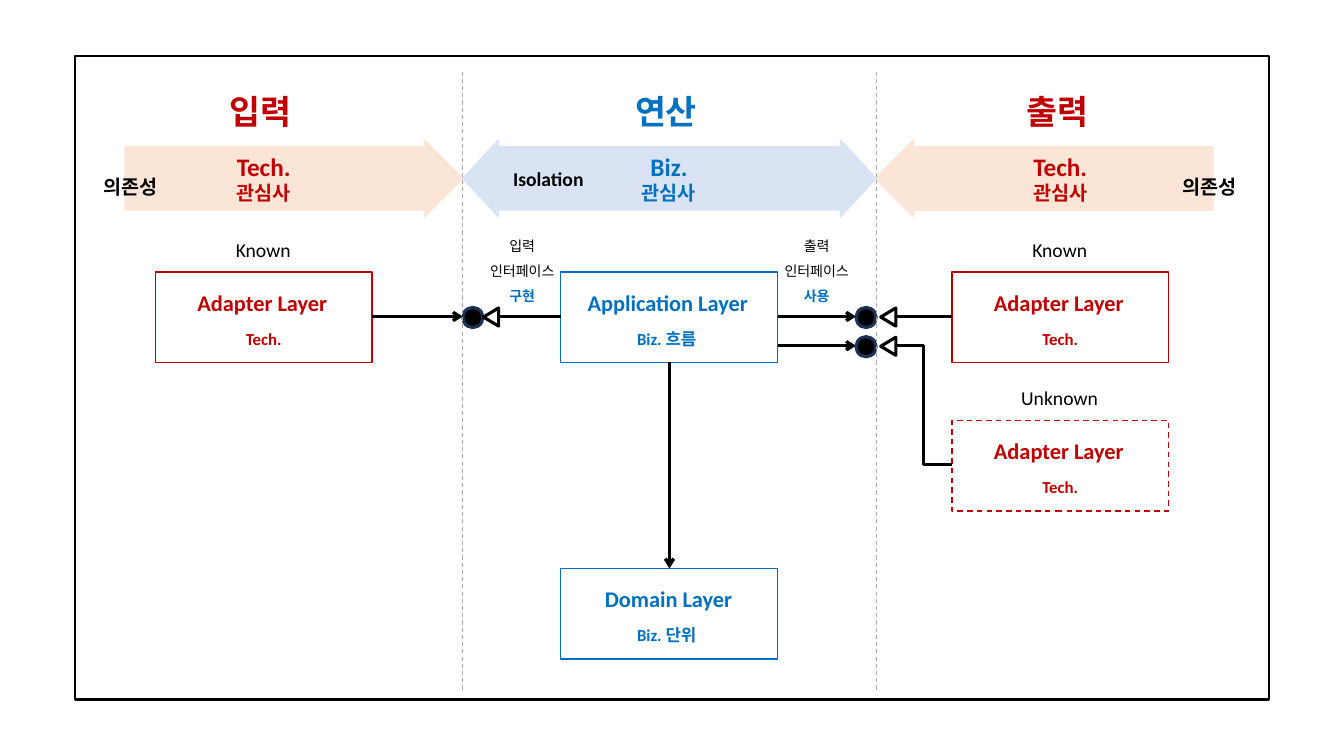
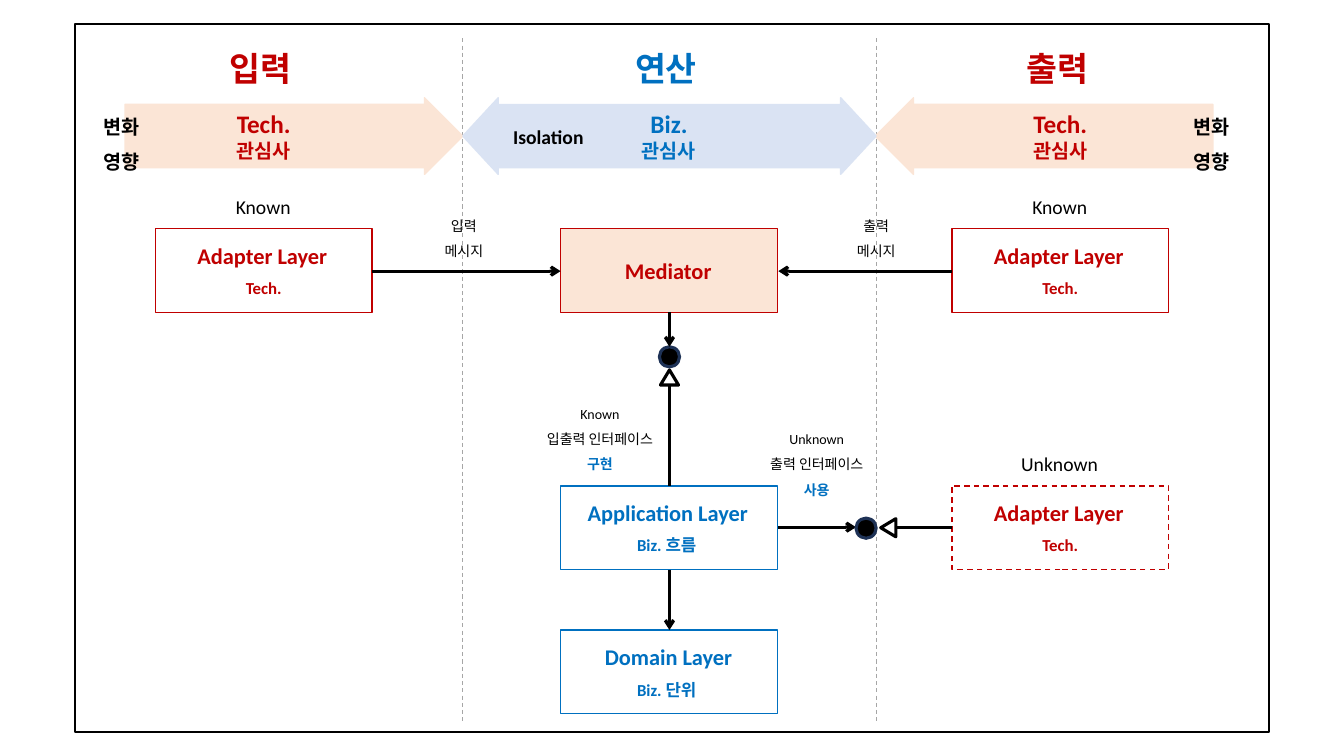
from pptx import Presentation
from pptx import util as u
from pptx.dml import color as colors
from pptx.enum import dml, shapes, text
from pptx.oxml import ns, xmlchemy

PX = 9144
FONT = "Calibri"
BLACK, WHITE, GRAY, NAVY = "000000", "FFFFFF", "A6A6A6", "1E3256"
RED, BLUE, PEACH, SKY = "C00000", "0070C0", "FBE5D6", "DAE3F3"
LEFT_COL, MID_COL, RIGHT_COL = 154, 556, 944
DIVIDERS = (459, 869)
LAYER_W = 215
MID_X = 664
SHAPE = shapes.MSO_SHAPE
CENTER = text.PP_ALIGN.CENTER


def px(*values):
    return [u.Emu(v * PX) for v in values]


def rgb(value):
    return colors.RGBColor.from_string(value)


def set_line(line, color, width, dash=False):
    line.color.rgb = rgb(color)
    line.width = u.Pt(width)
    if dash:
        line.dash_style = dml.MSO_LINE.DASH


def add_shape(s, kind, at, line, fill=None, width=1, dash=False, rot=0, adj=()):
    sp = s.shapes.add_shape(kind, *px(*at))
    sp.shadow.inherit = False
    if fill:
        sp.fill.solid()
        sp.fill.fore_color.rgb = rgb(fill)
    else:
        sp.fill.background()
    set_line(sp.line, line, width, dash)
    sp.rotation = rot
    for i, value in enumerate(adj):
        sp.adjustments[i] = value
    return sp


def add_text(s, at, *lines, size=14, color=BLACK, bold=False, align=None, spacing=None):
    tf = s.shapes.add_textbox(*px(*at)).text_frame
    tf.word_wrap = False
    tf.auto_size = text.MSO_AUTO_SIZE.SHAPE_TO_FIT_TEXT
    for i, line in enumerate(lines):
        content, custom = line if isinstance(line, tuple) else (line, {})
        p = tf.add_paragraph() if i else tf.paragraphs[0]
        p.alignment = align
        p.line_spacing = spacing
        r = p.add_run()
        r.text = content
        r.font.name = FONT
        r.font.size = u.Pt(custom.get("size", size))
        r.font.bold = custom.get("bold", bold)
        r.font.color.rgb = rgb(custom.get("color", color))


def add_line(s, x1, y1, x2, y2, color=BLACK, width=2.25, dash=False, arrow=False, elbow=False):
    kind = shapes.MSO_CONNECTOR.ELBOW if elbow else shapes.MSO_CONNECTOR.STRAIGHT
    sp = s.shapes.add_connector(kind, *px(x1, y1, x2, y2))
    set_line(sp.line, color, width, dash)
    props = sp._element.spPr
    if arrow:
        tail = xmlchemy.OxmlElement("a:tailEnd")
        tail.set("type", "arrow")
        props.find(ns.qn("a:ln")).append(tail)
    props.append(xmlchemy.OxmlElement("a:effectLst"))


def add_centered(s, x, y, w, h, content, **fmt):
    add_text(s, (x + (LAYER_W + 1 - w) // 2, y, w, h), content, **fmt)


def add_layer(s, x, y, h, title, title_w, sub, sub_w, color, state=None):
    dash = state == "Unknown"
    add_shape(s, SHAPE.RECTANGLE, (x, y, LAYER_W, h), color, dash=dash)
    add_centered(s, x, y + (h - 66) // 2, title_w, 37, title, size=16, color=color, bold=True)
    add_centered(s, x, y + h - 39, sub_w, 30, sub, size=12, color=color, bold=True)
    if state:
        add_centered(s, x, y - 39, 97 if dash else 75, 34, state)


def add_adapter(s, x, y, h, state):
    add_layer(s, x, y, h, "Adapter Layer", 151, "Tech.", 56, RED, state)


def add_application(s, y, h):
    add_layer(s, MID_COL, y, h, "Application Layer", 181, "Biz. 흐름", 83, BLUE)


def add_domain(s, y, h):
    add_layer(s, MID_COL, y, h, "Domain Layer", 148, "Biz. 단위", 83, BLUE)


def add_dot(s, x, y):
    add_shape(s, SHAPE.OVAL, (x, y, 20, 20), NAVY, BLACK, 2.25)


def add_triangle(s, x, y, rot=0):
    add_shape(s, SHAPE.ISOSCELES_TRIANGLE, (x, y, 18, 15), BLACK, WHITE, 2.25, rot=rot)


def add_port(s, x, y, gap=23):
    add_dot(s, x, y - 9)
    add_triangle(s, x + gap, y - 7, 270)


def add_note(s, at, *lines, action=None):
    if action:
        lines += ((action, {"color": BLUE, "bold": True}),)
    add_text(s, at, *lines, size=10, align=CENTER, spacing=1.5)


def add_frame(s, top, height):
    add_shape(s, SHAPE.RECTANGLE, (74, top, 1185, height), BLACK, width=1.5)


def add_dividers(s, top, bottom):
    for x in DIVIDERS:
        add_line(s, x, top, x, bottom, GRAY, 0.75, dash=True)


def add_header(s, top):
    arrow = (0.827, 0.5)
    add_shape(s, SHAPE.RIGHT_ARROW, (868, top, 335, 76), PEACH, PEACH, rot=180, adj=arrow)
    add_shape(s, SHAPE.RIGHT_ARROW, (124, top, 335, 76), PEACH, PEACH, adj=arrow)
    add_shape(s, SHAPE.LEFT_RIGHT_ARROW, (459, top, 410, 76), SKY, SKY, adj=(0.824, 0.463))
    columns = (
        (218, 222, "입력", "Tech.", RED),
        (620, 624, "연산", "Biz.", BLUE),
        (1008, 1012, "출력", "Tech.", RED),
    )
    for title_x, concern_x, title, concern, color in columns:
        add_text(s, (title_x, top - 54, 88, 50), title, size=24, color=color, bold=True)
        add_text(s, (concern_x, top + 6, 79, 64), (concern, {"size": 18}), "관심사",
                 color=color, bold=True, align=CENTER)
    add_text(s, (499, top + 22, 91, 34), "Isolation", bold=True)


def add_side_labels(s, right_x, y, w, h, *lines):
    for x in (93, right_x):
        add_text(s, (x, y, w, h), *lines, bold=True, spacing=1.5)


def build_dependency(s):
    h, row, second = 90, 314, 343
    add_header(s, 139)
    add_frame(s, 56, 638)
    add_adapter(s, LEFT_COL, 270, h, "Known")
    add_adapter(s, RIGHT_COL, 270, h, "Known")
    add_adapter(s, RIGHT_COL, 417, h, "Unknown")
    add_application(s, 270, h)
    add_domain(s, 564, h)
    add_line(s, 369, row, 459, row, arrow=True)
    add_line(s, MID_X, 359, MID_X, 564, arrow=True)
    add_port(s, 459, row, 19)
    add_line(s, MID_COL, row, 495, row)
    for y in (row, second):
        add_line(s, 772, y, 849, y, arrow=True)
        add_port(s, 849, y)
    add_line(s, RIGHT_COL, row, 888, row)
    add_line(s, 888, second, RIGHT_COL, 461, elbow=True)
    add_note(s, (473, 222, 90, 83), "입력", "인터페이스", action="구현")
    add_note(s, (765, 222, 90, 83), "출력", "인터페이스", action="사용")
    add_dividers(s, 71, 687)
    add_side_labels(s, 1163, 157, 79, 42, "의존성")


def build_mediator(s):
    h, row, app_row = 83, 269, 523
    add_frame(s, 24, 702)
    add_dividers(s, 38, 716)
    add_adapter(s, LEFT_COL, 227, h, "Known")
    add_adapter(s, RIGHT_COL, 227, h, "Known")
    add_adapter(s, RIGHT_COL, 482, h, "Unknown")
    add_application(s, 482, h)
    add_domain(s, 625, h)
    add_shape(s, SHAPE.RECTANGLE, (MID_COL, 227, LAYER_W, h), RED, PEACH)
    add_centered(s, MID_COL, 250, 107, 37, "Mediator", size=16, color=RED, bold=True)
    add_line(s, 369, row, MID_COL, row, arrow=True)
    add_line(s, RIGHT_COL, row, 772, row, arrow=True)
    add_dot(s, 654, 344)
    add_triangle(s, 655, 367)
    add_line(s, MID_X, 310, MID_X, 344, arrow=True)
    add_line(s, MID_X, 482, MID_X, 383)
    add_line(s, MID_X, 565, MID_X, 625, arrow=True)
    add_line(s, 772, app_row, 849, app_row, arrow=True)
    add_port(s, 849, app_row)
    add_line(s, RIGHT_COL, app_row, 888, app_row)
    add_note(s, (527, 389, 136, 86), "Known", "입출력 인터페이스", action="구현")
    add_note(s, (749, 414, 122, 86), "Unknown", "출력 인터페이스", action="사용")
    add_header(s, 97)
    add_side_labels(s, 1174, 97, 59, 77, "변화", "영향")
    add_note(s, (429, 202, 62, 61), "입력", "메시지")
    add_note(s, (838, 202, 62, 61), "출력", "메시지")


def main():
    prs = Presentation()
    prs.slide_width, prs.slide_height = px(1333, 750)
    for build in (build_dependency, build_mediator):
        build(prs.slides.add_slide(prs.slide_layouts[6]))
    prs.save("out.pptx")


if __name__ == "__main__":
    main()
